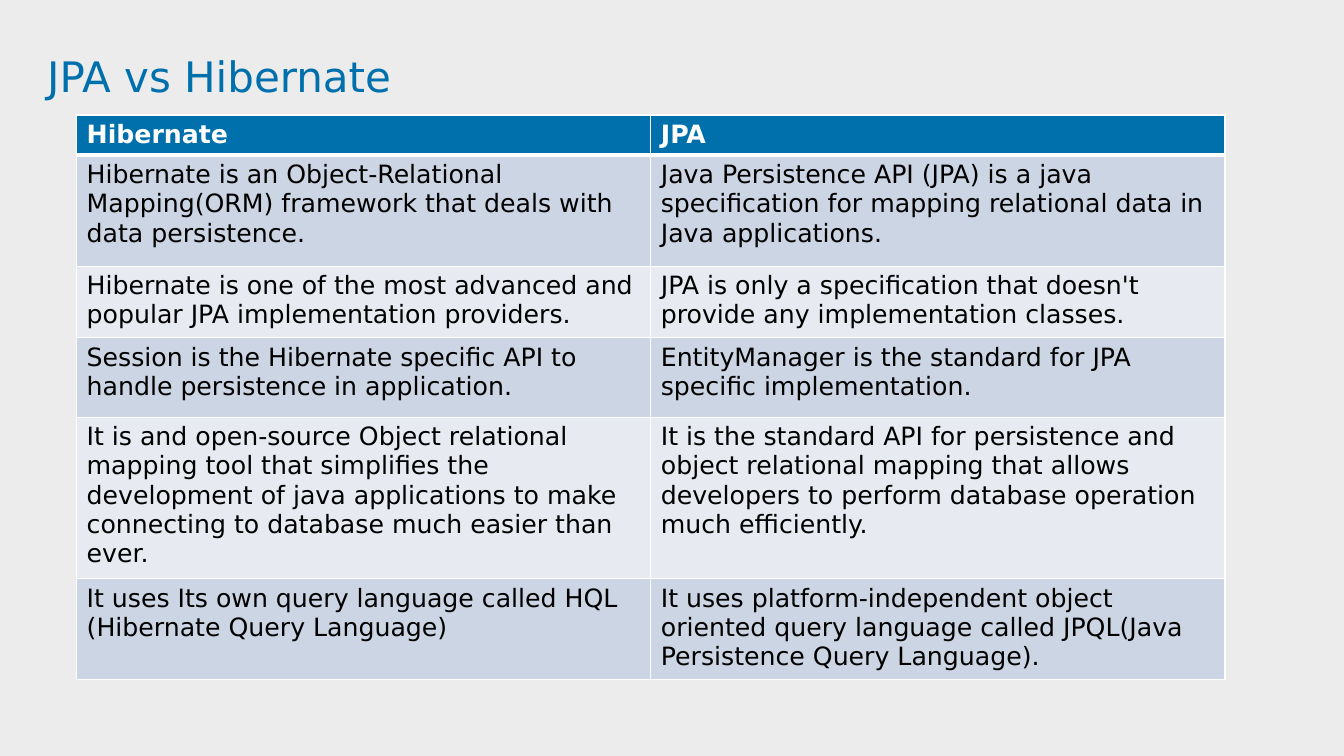
from dataclasses import dataclass

from lxml.etree import SubElement
from pptx import Presentation
from pptx.dml.color import RGBColor
from pptx.oxml.ns import qn
from pptx.util import Inches, Pt

FONT = "DejaVu Sans"
BLUE = RGBColor(0x00, 0x70, 0xAD)
WHITE = RGBColor(0xFF, 0xFF, 0xFF)
BLACK = RGBColor(0x00, 0x00, 0x00)
GREY = RGBColor(0xEC, 0xEC, 0xEC)
DARK = RGBColor(0xCC, 0xD5, 0xE3)
LIGHT = RGBColor(0xE7, 0xEB, 0xF1)


@dataclass
class Row:
    height: float
    left: str
    right: str


ROWS = [
    Row(0.39, "Hibernate", "JPA"),
    Row(1.1,
        "Hibernate is an Object-Relational Mapping(ORM) framework that deals "
        "with data persistence.",
        "Java Persistence API (JPA) is a java specification for mapping "
        "relational data in Java applications."),
    Row(0.71,
        "Hibernate is one of the most advanced and popular JPA "
        "implementation providers.",
        "JPA is only a specification that doesn't provide any "
        "implementation classes."),
    Row(0.79,
        "Session is the Hibernate specific API to handle persistence in "
        "application.",
        "EntityManager is the standard for JPA specific implementation."),
    Row(1.57,
        "It is and open-source Object relational mapping tool that "
        "simplifies the development of java applications to make connecting "
        "to database much easier than ever.",
        "It is the standard API for persistence and object relational "
        "mapping that allows developers to perform database operation much "
        "efficiently."),
    Row(1.0,
        "It uses Its own query language called HQL (Hibernate Query "
        "Language)",
        "It uses platform-independent object oriented query language called "
        "JPQL(Java Persistence Query Language)."),
]


def write(frame, text: str, size: float, color: RGBColor,
          bold: bool = False) -> None:
    frame.text = text
    font = frame.paragraphs[0].runs[0].font
    font.name, font.size, font.bold = FONT, Pt(size), bold
    font.color.rgb = color


def border(cell, side: str, width: float) -> None:
    props = cell._tc.get_or_add_tcPr()
    line = SubElement(props, qn(f"a:ln{side}"), w=str(Pt(width)))
    fill = SubElement(line, qn("a:solidFill"))
    SubElement(fill, qn("a:srgbClr"), val=str(WHITE))


def style(cell, text: str, index: int) -> None:
    head = index == 0
    write(cell.text_frame, text, 18, WHITE if head else BLACK, head)
    # The rule under the header is thicker than the rest
    wide = {(0, "B"), (1, "T")}
    for side in "LRTB":
        border(cell, side, 3 if (index, side) in wide else 1)
    cell.fill.solid()
    cell.fill.fore_color.rgb = BLUE if head else DARK if index % 2 else LIGHT


def main() -> None:
    deck = Presentation()
    deck.slide_width, deck.slide_height = Inches(13.33), Inches(7.5)
    slide = deck.slides.add_slide(deck.slide_layouts[6])
    slide.background.fill.solid()
    slide.background.fill.fore_color.rgb = GREY

    # Title
    title = slide.shapes.add_textbox(
        Inches(0.37), Inches(0.51), Inches(12.17), Inches(1.21))
    title.text_frame.word_wrap = True
    write(title.text_frame, "JPA vs Hibernate", 30, BLUE)
    title.text_frame.paragraphs[0].line_spacing = 0.9

    # Comparison table
    height = sum(row.height for row in ROWS)
    table = slide.shapes.add_table(
        len(ROWS), 2, Inches(0.76), Inches(1.14),
        Inches(11.39), Inches(height)).table
    for index, row in enumerate(ROWS):
        table.rows[index].height = Inches(row.height)
        for col, text in enumerate((row.left, row.right)):
            style(table.cell(index, col), text, index)

    deck.save("out.pptx")


if __name__ == "__main__":
    main()
